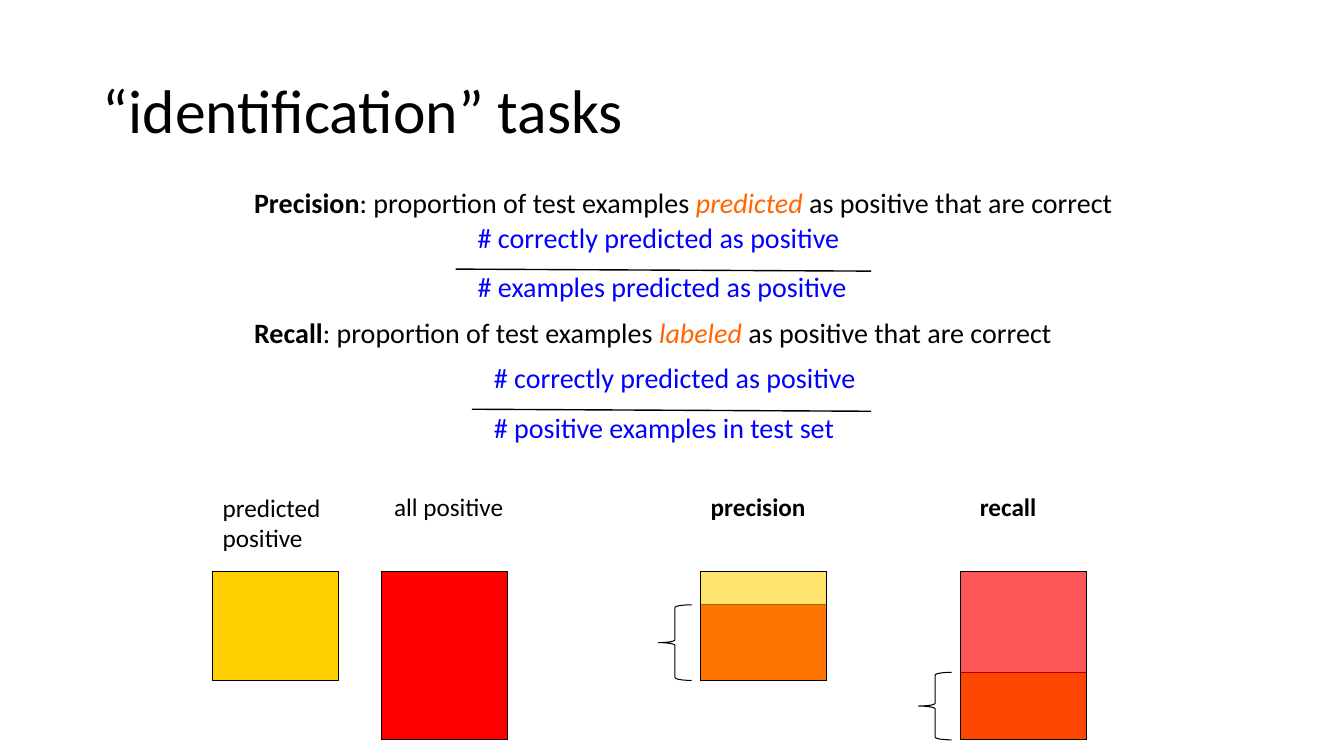
from lxml import etree
from pptx import Presentation
from pptx.dml.color import RGBColor
from pptx.enum.shapes import MSO_CONNECTOR, MSO_SHAPE
from pptx.enum.text import MSO_ANCHOR, MSO_AUTO_SIZE, PP_ALIGN
from pptx.oxml.ns import qn
from pptx.util import Emu, Pt

RECT, BRACE = MSO_SHAPE.RECTANGLE, MSO_SHAPE.LEFT_BRACE
LINE = MSO_CONNECTOR.STRAIGHT
MIDDLE, LEFT = MSO_ANCHOR.MIDDLE, PP_ALIGN.LEFT
FIXED = MSO_AUTO_SIZE.NONE

BLACK = RGBColor(0x00, 0x00, 0x00)
BLUE = RGBColor(0x00, 0x00, 0xFF)
ORANGE = RGBColor(0xFF, 0x66, 0x00)
GOLD = RGBColor(0xFF, 0xCF, 0x01)
RED = RGBColor(0xFF, 0x00, 0x00)

FONT = "Calibri"
SCALE = 9144  # EMU in one px, 100 px to the inch


def px(*sizes):
    return [Emu(size * SCALE) for size in sizes]


def write(para, text, size=18, color=BLACK, bold=False, italic=False):
    run = para.add_run()
    run.text = text
    font = run.font
    font.name, font.size = FONT, Pt(size)
    font.bold, font.italic = bold, italic
    font.color.rgb = color


class Page:
    def __init__(self, deck):
        self.slide = deck.slides.add_slide(deck.slide_layouts[1])
        self.shapes = self.slide.shapes

    def place(self, holder, box):
        holder.left, holder.top, holder.width, holder.height = px(*box)
        holder.text_frame.auto_size = FIXED
        return holder.text_frame

    def title(self, box, text):
        frame = self.place(self.shapes.title, box)
        frame.vertical_anchor = MIDDLE
        para = frame.paragraphs[0]
        para.alignment, para.line_spacing = LEFT, 0.9
        write(para, text, size=44)

    def body(self, box, items, gap):
        frame = self.place(self.slide.placeholders[1], box)
        for i, (term, start, key, end) in enumerate(items):
            para = frame.add_paragraph() if i else frame.paragraphs[0]
            para.space_before = Pt(gap if i else 7)
            props = para._p.get_or_add_pPr()
            props.set("marL", "0")
            props.set("indent", "0")
            etree.SubElement(props, qn("a:buNone"))
            write(para, term, size=20, bold=True)
            write(para, start, size=20)
            write(para, key, size=20, color=ORANGE, italic=True)
            write(para, end, size=20)

    def label(self, box, *lines, wrap=False, **style):
        frame = self.shapes.add_textbox(*px(*box)).text_frame
        frame.word_wrap = wrap
        for i, text in enumerate(lines):
            para = frame.add_paragraph() if i else frame.paragraphs[0]
            write(para, text, **style)

    def rule(self, x1, y1, x2, y2):
        line = self.shapes.add_connector(LINE, *px(x1, y1, x2, y2))
        line.line.color.rgb, line.line.width = BLACK, Pt(1)
        etree.SubElement(line._element.spPr, qn("a:effectLst"))

    def block(self, box, fill=None, alpha=100, kind=RECT):
        shape = self.shapes.add_shape(kind, *px(*box))
        shape.shadow.inherit = False
        shape.line.color.rgb, shape.line.width = BLACK, Pt(0.75)
        if fill is None:
            shape.fill.background()
            return
        shape.fill.solid()
        shape.fill.fore_color.rgb = fill
        if alpha < 100:
            color = shape._element.spPr.find(".//" + qn("a:srgbClr"))
            etree.SubElement(color, qn("a:alpha"), val=str(alpha * 1000))


def main():
    deck = Presentation()
    deck.slide_width, deck.slide_height = px(1333, 750)
    page = Page(deck)

    # Title and definitions
    page.title((92, 40, 1150, 145), "“identification” tasks")
    start, end = ": proportion of test examples ", " as positive that are correct"
    page.body((242, 179, 956, 289), [
        ("Precision", start, "predicted", end),
        ("Recall", start, "labeled", end),
    ], gap=68.5)

    # Fractions
    hits = "# correctly predicted as positive"
    for left, top, under, width, low in (
        (464, 214, 262, 394, "# examples predicted as positive"),
        (480, 353, 402, 361, "# positive examples in test set"),
    ):
        page.label((left, top, 384, 44), hits, size=20, color=BLUE)
        page.rule(left - 12, top + 53, 864, top + 55)
        page.label((left, under, width, 44), low, size=20, color=BLUE)

    # Column headings
    page.label((211, 483, 118, 71), "predicted", "positive")
    page.label((381, 483, 142, 40), "all positive", wrap=True)
    page.label((695, 483, 115, 40), "precision", bold=True)
    page.label((962, 483, 77, 40), "recall", bold=True)

    # Whole sets
    top, wide, short, tall = 567, 125, 108, 167
    page.block((211, top, wide, short), GOLD)
    page.block((378, top, wide, tall), RED)

    # Overlaps: the shared part, a clear set over it, and a brace
    for left, high, part, under, over, alpha in (
        (695, short, 75, RED, GOLD, 56),
        (953, tall, 67, GOLD, RED, 66),
    ):
        split = top + high - part
        page.block((left, split, wide, part), under)
        page.block((left, top, wide, high), over, alpha)
        page.block((left - 42, split, 33, part), kind=BRACE)

    deck.save("out.pptx")


if __name__ == "__main__":
    main()
